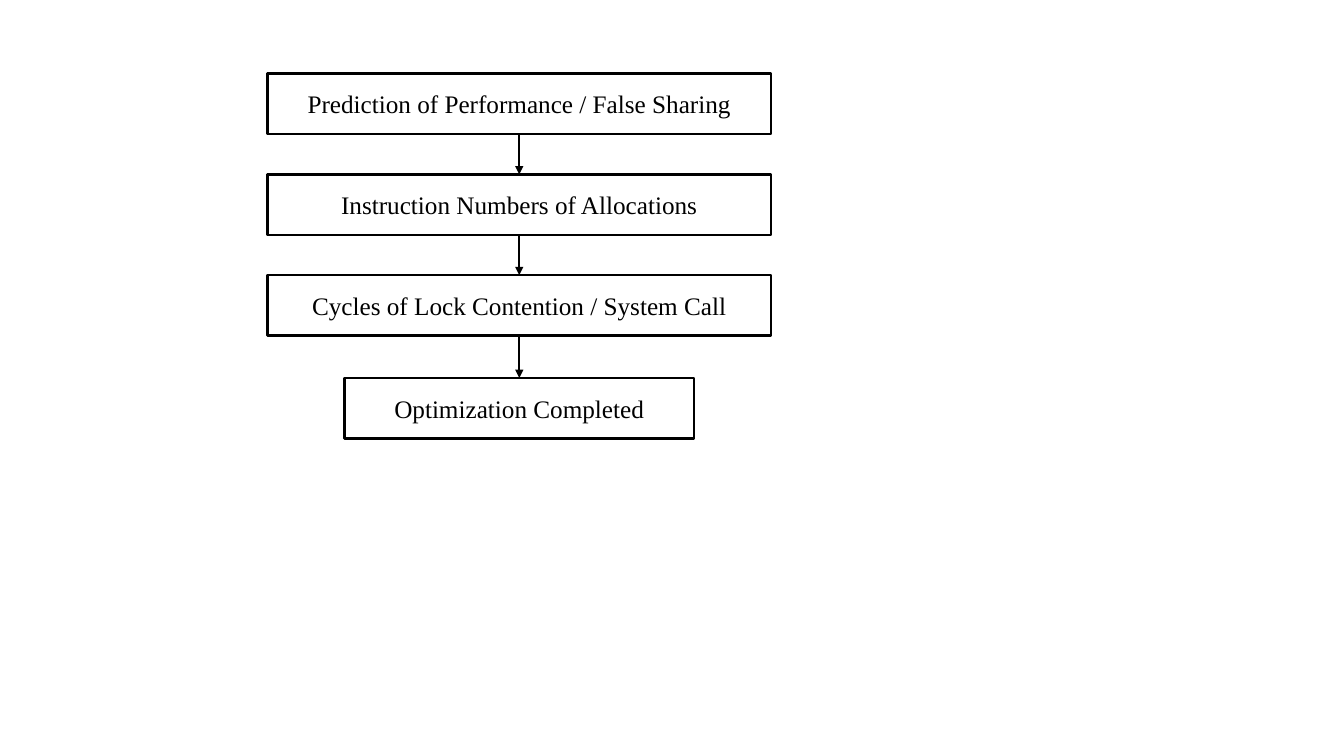
"""Build a slide with a vertical flow of optimization steps."""
import itertools
import pptx
import pptx.util
import pptx.dml.color
import pptx.enum.shapes
import pptx.enum.text
import pptx.oxml
import pptx.oxml.ns

Inches, Pt = pptx.util.Inches, pptx.util.Pt

WIDE, NARROW = 4.99, 3.47
STEPS = [
    ("Prediction of Performance / False Sharing", WIDE, 0.73),
    ("Instruction Numbers of Allocations", WIDE, 1.73),
    ("Cycles of Lock Contention / System Call", WIDE, 2.73),
    ("Optimization Completed", NARROW, 3.75),
]
AXIS, BOX_HEIGHT = 5.15, 0.6
THEME = {
    "font": "Times New Roman",
    "size": Pt(18),
    "ink": pptx.dml.color.RGBColor(0, 0, 0),
    "paper": pptx.dml.color.RGBColor(255, 255, 255),
    "border": Pt(1.75),
    "arrow": Pt(1.25),
}


def add_step(page, text, width, top):
    """Draw one bordered box centred on the flow axis."""
    box = page.shapes.add_shape(
        pptx.enum.shapes.MSO_SHAPE.RECTANGLE,
        Inches(AXIS - width / 2), Inches(top), Inches(width), Inches(BOX_HEIGHT))
    box.shadow.inherit = False
    box.fill.solid()
    box.fill.fore_color.rgb = THEME["paper"]
    box.line.color.rgb = THEME["ink"]
    box.line.width = THEME["border"]
    frame = box.text_frame
    frame.vertical_anchor = pptx.enum.text.MSO_ANCHOR.MIDDLE
    para = frame.paragraphs[0]
    para.text = text
    para.alignment = pptx.enum.text.PP_ALIGN.CENTER
    para.font.name = THEME["font"]
    para.font.size = THEME["size"]
    para.font.color.rgb = THEME["ink"]
    return box


def add_arrow(page, upper, lower):
    """Connect the bottom of one box to the top of the next."""
    arrow = page.shapes.add_connector(
        pptx.enum.shapes.MSO_CONNECTOR.STRAIGHT, 0, 0, 0, 0)
    arrow.begin_connect(upper, 2)
    arrow.end_connect(lower, 0)
    arrow.line.color.rgb = THEME["ink"]
    arrow.line.width = THEME["arrow"]
    namespace = pptx.oxml.ns.nsdecls("a")
    arrow.line._get_or_add_ln().append(
        pptx.oxml.parse_xml(f'<a:tailEnd {namespace} type="triangle"/>'))
    arrow._element.spPr.append(pptx.oxml.parse_xml(f"<a:effectLst {namespace}/>"))


deck = pptx.Presentation()
deck.slide_width, deck.slide_height = Inches(13.33), Inches(7.5)
page = deck.slides.add_slide(deck.slide_layouts[6])
boxes = [add_step(page, *step) for step in STEPS]
for upper, lower in itertools.pairwise(boxes):
    add_arrow(page, upper, lower)
deck.save("out.pptx")
